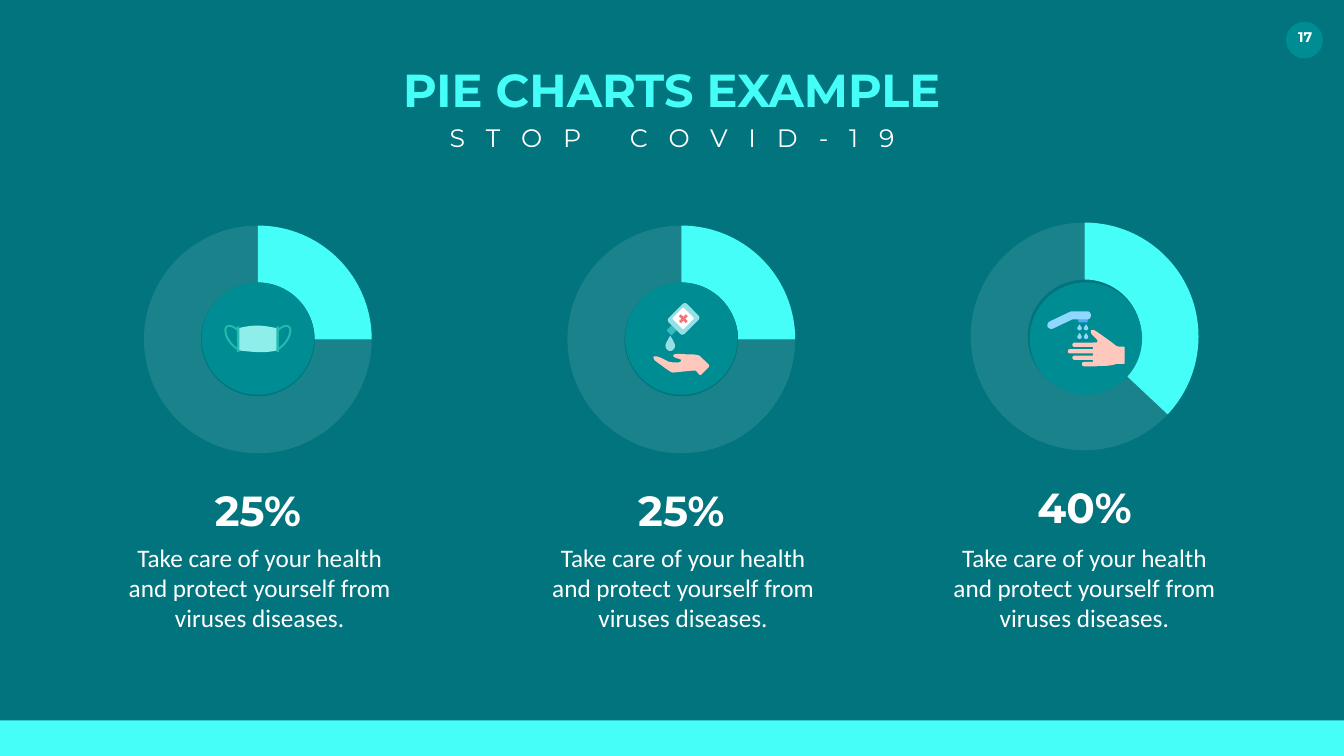
from dataclasses import dataclass
from typing import Callable

from lxml import etree
from pptx import Presentation
from pptx.chart.data import CategoryChartData
from pptx.dml.color import RGBColor
from pptx.enum.chart import XL_CHART_TYPE as ChartType
from pptx.enum.shapes import MSO_SHAPE as Preset
from pptx.enum.text import MSO_ANCHOR as Anchor, MSO_AUTO_SIZE as AutoSize, PP_ALIGN as Align
from pptx.oxml import parse_xml
from pptx.oxml.ns import nsdecls, qn
from pptx.util import Pt

WIDTH, HEIGHT = 1919.5, 1080
TEAL, AQUA, DISC, WHITE = "01747D", "46FEF8", "008C93", "FFFFFF"
SKIN, WATER, MINT, GREEN, RED = "FFC8BD", "8FD7FF", "95E0E5", "24BAAF", "F47676"
CHART_WIDTH, CHART_HEIGHT, RING = 356.4, 344.9, 325.4
DISC_SIZE, DISC_Y = 160.5, 483.7
BODY = "Take care of your health and protect yourself from viruses diseases."

# Outlines in points from the disc centre: (x, y) is a line end,
# six numbers are a curve (two control points and an end)
MASK = [(28.4, 16.6), (15.5, 20.2, -0.4, 19.4, -0.4, 19.4),
        (-13.3, 18.7, -29.2, 16.6, -29.2, 16.6), (-29.2, -14.4),
        (-29.2, -14.4, -14.8, -18.7, -0.4, -18.7), (15.5, -18, 28.4, -14.4, 28.4, -14.4)]
EAR_LOOP = [(-30.6, 15.8), (-31.3, 15.1, -47.2, 5, -47.9, -11.5),
            (-47.9, -15.1, -46.4, -17.3, -44.3, -18.7),
            (-37.8, -21.6, -29.9, -15.1, -28.4, -13.7), (-30.6, -11.5),
            (-35.6, -16.6, -40, -17.3, -42.8, -16.6), (-44.3, -15.1, -45, -13.7, -45, -11.5),
            (-44.3, 2.9, -29.2, 13.7, -28.4, 13.7)]
OPEN_HAND = [(-40, 26.3), (-40, 26.3, -40, 29.2, -37.1, 32),
             (-33.5, 34.2, -15.5, 48.6, -12.6, 48.6), (-9, 48.6, 19.1, 45, 20.5, 45.7),
             (21.2, 46.4, 23.4, 48.6, 24.8, 50.8), (26.3, 52.2, 27.7, 52.2, 29.2, 50.8),
             (39.2, 40.7), (40, 39.2, 40, 37.8, 39.2, 37.1),
             (35.6, 33.5, 28.4, 27, 26.3, 24.8), (21.2, 22, 14, 22.7, 9, 22.7),
             (1.8, 22, -10.4, 21.2, -11.2, 23.4), (-12.6, 25.6, -10.4, 27, -2.5, 29.2),
             (2.5, 30.6, -1.8, 34.2, -5.4, 34.2), (-8.3, 34.2, -14, 34.2, -18.4, 32.8),
             (-22, 31.3, -37.1, 22, -40, 26.3)]
PALM = [(54, 11.5), (49, 11.5), (46.1, 11.5, 43.2, 10.8, 41, 8.6), (31, 0.7, 13, -11.5, 13, -11.5),
        (11.5, -12.2, 8.6, -13, 7.2, -11.5), (6.5, -9.4, 7.2, -7.2, 9.4, -5), (15.8, 1.4),
        (17.3, 2.9, 16.6, 5.8, 14.4, 5.8), (10, 5.8), (10, 38.9), (29.5, 38.9),
        (31, 38.9, 37.4, 38.2, 41.8, 36.7), (43.2, 36.7, 44.6, 36, 46.1, 36), (54, 36),
        (55, 36, 55.4, 36, 55.4, 35.3), (55.4, 13), (55.4, 12.2, 55, 11.5, 54, 11.5)]
TAP = [(-49, -13.7), (-51.1, -13.7, -53.3, -15.1, -54.7, -16.6),
       (-55.4, -19.4, -54.7, -23, -51.8, -24.5), (-23, -38.2),
       (-22.3, -38.2, -21.6, -38.9, -20.2, -38.9), (2.2, -38.9),
       (5, -38.9, 7.2, -36, 7.2, -33.1), (7.2, -30.2, 5, -27.4, 2.2, -27.4),
       (-19.4, -27.4), (-46.8, -14.4)]
# A drop one unit wide and high
DROP = [(1, 0.65), (1, 0.85, 0.77, 1, 0.5, 1), (0.23, 1, 0, 0.85, 0, 0.65),
        (0, 0.48, 0.5, 0, 0.5, 0), (0.5, 0, 1, 0.48, 1, 0.65)]


def color(value: str) -> RGBColor:
    return RGBColor.from_string(value)


def paint(shape, fill: str) -> None:
    shape.shadow.inherit = False
    shape.fill.solid()
    shape.fill.fore_color.rgb = color(fill)
    shape.line.fill.background()


def add_preset(shapes, preset, left, top, width, height, fill: str):
    shape = shapes.add_shape(preset, Pt(left), Pt(top), Pt(width), Pt(height))
    paint(shape, fill)
    return shape


def write(shape, box: tuple, text: str, size: float, ink: str = WHITE, name: str = "Montserrat",
          bold: bool = False, wrap: bool = False, spacing: int = 0) -> None:
    shape.left, shape.top, shape.width, shape.height = (Pt(value) for value in box)
    frame = shape.text_frame
    frame.text = text
    for key, value in {"word_wrap": wrap, "auto_size": AutoSize.SHAPE_TO_FIT_TEXT,
                       "vertical_anchor": Anchor.TOP}.items():
        setattr(frame, key, value)
    paragraph = frame.paragraphs[0]
    paragraph.alignment = Align.CENTER
    paragraph.line_spacing = 1.0
    font = paragraph.runs[0].font
    for key, value in {"name": name, "size": Pt(size), "bold": bold}.items():
        setattr(font, key, value)
    font.color.rgb = color(ink)
    if spacing:
        paragraph.runs[0]._r.get_or_add_rPr().set("spc", str(spacing * 100))


def add_text(slide, box: tuple, text: str, size: float, **options) -> None:
    write(slide.shapes.add_textbox(0, 0, 0, 0), box, text, size, **options)


@dataclass
class Pen:
    """Draws icon parts around a disc centre."""
    shapes: object
    x: float
    y: float

    def outline(self, points: list, fill: str, left=0.0, top=0.0, width=1.0, height=1.0) -> None:
        flat = [points[0]]
        for point in points[1:]:
            if len(point) == 2:
                flat.append(point)
                continue
            start, (a, b, c, d, e, f) = flat[-1], point
            for t in (step / 8 for step in range(1, 9)):
                weights = ((1 - t) ** 3, 3 * t * (1 - t) ** 2, 3 * t * t * (1 - t), t ** 3)
                flat.append(tuple(sum(w * v for w, v in zip(weights, values))
                                  for values in ((start[0], a, c, e), (start[1], b, d, f))))
        placed = [(Pt(self.x + left + x * width), Pt(self.y + top + y * height)) for x, y in flat]
        builder = self.shapes.build_freeform(*placed[0])
        builder.add_line_segments(placed[1:], close=True)
        paint(builder.convert_to_shape(), fill)

    def bar(self, left, top, width, height, fill: str, rounding=0.2, turn=0) -> None:
        shape = add_preset(self.shapes, Preset.ROUNDED_RECTANGLE,
                           self.x + left, self.y + top, width, height, fill)
        shape.adjustments[0] = rounding
        shape.rotation = turn


def draw_mask(pen: Pen) -> None:
    pen.outline(MASK, "8EEFEA")
    for side in (1, -1):
        pen.bar(-28.1 * side - 1.8, -17.3, 3.6, 36.7, GREEN)
        pen.outline(EAR_LOOP, GREEN, width=side)


def draw_gel(pen: Pen) -> None:
    pen.outline(OPEN_HAND, SKIN)
    pen.outline(DROP, MINT, -22.7, -4, 13.7, 21.6)
    # Bottle neck, bottle, label and cross
    pen.bar(-19.1, -17, 10.2, 10.2, "36BCBF", 0.1, 45)
    pen.bar(-12.8, -46.6, 32, 37, MINT, 0.13, 45)
    pen.bar(-8.7, -40, 22.5, 22.5, WHITE, 0.08, 45)
    for turn in (45, 135):
        pen.bar(-4.1, -30.4, 14, 4, RED, 0.1, turn)


def draw_washing(pen: Pen) -> None:
    pen.outline(PALM, SKIN)
    for row, left in enumerate((-19.4, -25.9, -19.4, -5.8)):
        pen.bar(left, 5.8 + 9.2 * row, 18 - left, 6.2, SKIN, 0.5)
    for left in (-12.2, -2.9):
        for top in (-20.2, -7.9):
            pen.outline(DROP, WATER, left, top, 6.3, 8.4)
    pen.bar(-10.8, -33.8, 13.3, 10.8, "53ABF4", 0.15)
    pen.outline(TAP, WATER)


@dataclass
class Column:
    center: float
    body_center: float
    disc_center: float
    lift: float
    share: int
    label: str
    draw_icon: Callable[[Pen], None]


COLUMNS = [
    Column(368.3, 370.8, 368.3, 0, 25, "25%", draw_mask),
    Column(973.1, 975.6, 973.1, 0, 25, "25%", draw_gel),
    Column(1549.1, 1548.7, 1550.9, 4.3, 37, "40%", draw_washing),
]


def add_ring(slide, column: Column) -> None:
    data = CategoryChartData()
    data.categories = ["1", "2"]
    data.add_series("Series 1", (column.share, 100 - column.share))
    chart = slide.shapes.add_chart(
        ChartType.DOUGHNUT, Pt(column.center - CHART_WIDTH / 2), Pt(312.5 - column.lift),
        Pt(CHART_WIDTH), Pt(CHART_HEIGHT), data).chart
    chart.has_legend = chart.has_title = False
    chart.font.name, chart.font.size = "Calibri", Pt(10)
    chart.font.color.rgb = color("999999")
    plot = chart.plots[0]
    plot.vary_by_categories = True
    plot._element.find(qn("c:holeSize")).set("val", "80")
    for index, fill in enumerate((AQUA, WHITE)):
        style = plot.series[0].points[index].format
        style.fill.solid()
        style.fill.fore_color.rgb = color(fill)
        style.line.fill.background()
    # The remainder is nearly transparent
    rest = style.fill._xPr.find(".//" + qn("a:srgbClr"))
    etree.SubElement(rest, qn("a:alpha")).set("val", "10000")
    # Centre the ring in the chart area
    w, h = RING / CHART_WIDTH, RING / CHART_HEIGHT
    values = {"x": (1 - w) / 2, "y": (1 - h) / 2, "w": w, "h": h}
    parts = "".join(f'<c:{key} val="{value:.4f}"/>' for key, value in values.items())
    layout = parse_xml(
        f'<c:layout {nsdecls("c")}><c:manualLayout><c:layoutTarget val="inner"/>'
        f'<c:xMode val="edge"/><c:yMode val="edge"/>{parts}</c:manualLayout></c:layout>')
    area = plot._element.getparent()
    for old in area.findall(qn("c:layout")):
        area.remove(old)
    area.insert(0, layout)


def add_column(slide, column: Column) -> None:
    add_ring(slide, column)
    add_text(slide, (column.center - 94, 689 - column.lift, 188, 80), column.label, 60,
             bold=True, wrap=True)
    add_text(slide, (column.body_center - 213, 771, 426, 138), BODY, 36, name="Calibri", wrap=True)
    shapes = slide.shapes.add_group_shape().shapes
    add_preset(shapes, Preset.OVAL, column.disc_center - DISC_SIZE / 2, DISC_Y - DISC_SIZE / 2,
               DISC_SIZE, DISC_SIZE, DISC)
    column.draw_icon(Pen(shapes, column.disc_center, DISC_Y))


def main() -> None:
    presentation = Presentation()
    presentation.slide_width, presentation.slide_height = Pt(WIDTH), Pt(HEIGHT)
    slide = presentation.slides.add_slide(presentation.slide_layouts[5])
    # Background, bottom band and page number
    slide.background.fill.solid()
    slide.background.fill.fore_color.rgb = color(TEAL)
    add_preset(slide.shapes, Preset.RECTANGLE, 0, 1029, WIDTH, 51, AQUA)
    add_preset(slide.shapes, Preset.OVAL, 1836.7, 31, 52.6, 52.6, DISC)
    add_text(slide, (1829.5, 37.4, 69, 39), "17", 20, bold=True)
    # Title and subtitle
    write(slide.shapes.title, (562.3, 84.2, 794.2, 87.1), "PIE CHARTS EXAMPLE", 66,
          ink=AQUA, bold=True)
    add_text(slide, (616.3, 170.6, 687.6, 51.1), "STOP COVID-19", 36, spacing=30)
    for column in COLUMNS:
        add_column(slide, column)
    presentation.save("out.pptx")


if __name__ == "__main__":
    main()
